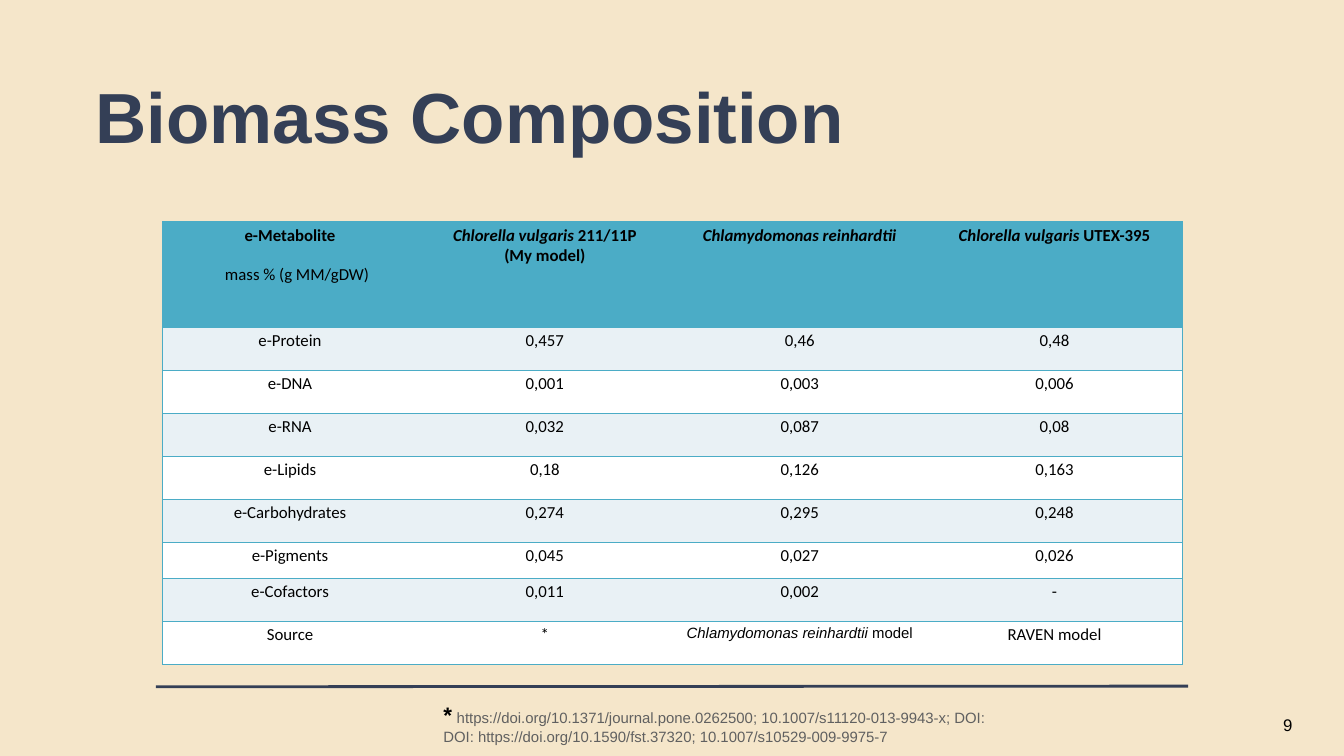
from dataclasses import dataclass

import pptx
import pptx.dml.color
import pptx.enum.shapes
import pptx.enum.text
import pptx.oxml
import pptx.oxml.ns
import pptx.util
from pptx.dml.color import RGBColor

SAND = RGBColor(0xF5, 0xE6, 0xCA)
NAVY = RGBColor(0x34, 0x3F, 0x56)
TEAL = RGBColor(0x4B, 0xAC, 0xC6)
PALE = RGBColor(0xE9, 0xF1, 0xF5)
WHITE = RGBColor(0xFF, 0xFF, 0xFF)
BLACK = RGBColor(0, 0, 0)
GREY = RGBColor(0x60, 0x60, 0x60)

ALIGN = pptx.enum.text.PP_ALIGN
ANCHOR = pptx.enum.text.MSO_ANCHOR
NO_STYLE = "{2D5ABB26-0587-4C30-8999-92F81FD0307C}"
UNIT = pptx.util.Inches(1)  # the slide is a grid of 20 columns by 11.25 rows


@dataclass(frozen=True)
class Box:
    col: float
    row: float
    cols: float
    rows: float

    def emu(self) -> list[int]:
        return [int(v * UNIT) for v in (self.col, self.row, self.cols, self.rows)]


@dataclass(frozen=True)
class Run:
    text: str
    italic: bool = False


@dataclass(frozen=True)
class Style:
    size: float = 18
    font: str = "Calibri"
    color: RGBColor = BLACK
    bold: bool = False
    align: ALIGN = ALIGN.CENTER


BODY = Style()
HEAD = Style(bold=True)
SMALL = Style(size=16, font="Arial")

HEADER = [
    [[Run("e-Metabolite")]],
    [[Run("Chlorella vulgaris", True), Run(" 211/11P")], [Run("(My model)")]],
    [[Run("Chlamydomonas reinhardtii", True)]],
    [[Run("Chlorella vulgaris", True), Run(" UTEX-395")]],
]
VALUES = [
    ("e-Protein", "0,457", "0,46", "0,48"),
    ("e-DNA", "0,001", "0,003", "0,006"),
    ("e-RNA", "0,032", "0,087", "0,08"),
    ("e-Lipids", "0,18", "0,126", "0,163"),
    ("e-Carbohydrates", "0,274", "0,295", "0,248"),
    ("e-Pigments", "0,045", "0,027", "0,026"),
    ("e-Cofactors", "0,011", "0,002", "-"),
]
SOURCES = [
    [[Run("Source")]],
    [[Run("*")]],
    [[Run("Chlamydomonas reinhardtii ", True), Run("model")]],
    [[Run("RAVEN model")]],
]
ROW_HEIGHTS = [1.57] + [0.64] * 5 + [0.54] + [0.64] * 2


def format_font(font, style: Style) -> None:
    font.size = pptx.util.Pt(style.size)
    font.name = style.font
    font.bold = style.bold
    font.color.rgb = style.color


def write(tf, paragraphs: list[list[Run]], style: Style) -> None:
    for i, runs in enumerate(paragraphs):
        p = tf.add_paragraph() if i else tf.paragraphs[0]
        p.alignment = style.align
        format_font(p.font, style)
        for run in runs:
            r = p.add_run()
            r.text = run.text
            if run.italic:
                r.font.italic = True


def add_text(s, box: Box, text: str, style: Style):
    tf = s.shapes.add_textbox(*box.emu()).text_frame
    tf.word_wrap = True
    write(tf, [[Run(text)]], style)
    return tf


def add_borders(cell, sides: str) -> None:
    tc_pr = cell._tc.get_or_add_tcPr()
    for side in sides:
        tc_pr.append(pptx.oxml.parse_xml(
            f'<a:ln{side} {pptx.oxml.ns.nsdecls("a")} w="12700"><a:solidFill>'
            f'<a:srgbClr val="{TEAL}"/></a:solidFill></a:ln{side}>'))


def fill_cell(cell, paragraphs: list[list[Run]], style: Style, fill: RGBColor, sides: str) -> None:
    add_borders(cell, sides)
    cell.fill.solid()
    cell.fill.fore_color.rgb = fill
    write(cell.text_frame, paragraphs, style)


def add_biomass_table(s, box: Box) -> None:
    rows = [HEADER] + [[[[Run(v)]] for v in row] for row in VALUES] + [SOURCES]
    table = s.shapes.add_table(len(rows), len(HEADER), *box.emu()).table
    table._tbl.tblPr.find(pptx.oxml.ns.qn("a:tableStyleId")).text = NO_STYLE
    for row, height in zip(table.rows, ROW_HEIGHTS):
        row.height = int(height * UNIT)
    last = len(HEADER) - 1
    for i, row in enumerate(rows):
        fill = TEAL if i == 0 else PALE if i % 2 else WHITE
        for j, paragraphs in enumerate(row):
            style = HEAD if i == 0 else SMALL if (row is SOURCES and j == 2) else BODY
            sides = ("L" if j == 0 else "") + ("R" if j == last else "") + "TB"
            fill_cell(table.cell(i, j), paragraphs, style, fill, sides)


def add_rule(s, start: tuple[float, float], end: tuple[float, float]) -> None:
    line = s.shapes.add_connector(pptx.enum.shapes.MSO_CONNECTOR.STRAIGHT,
                                  *[int(v * UNIT) for v in start + end])
    line.line.color.rgb = NAVY
    line.line.width = pptx.util.Pt(3)
    line._element.spPr.append(pptx.oxml.parse_xml(f'<a:effectLst {pptx.oxml.ns.nsdecls("a")}/>'))


def add_title(s, box: Box, text: str) -> None:
    sp = s.shapes.title
    sp.left, sp.top, sp.width, sp.height = box.emu()
    tf = sp.text_frame
    tf.margin_left = tf.margin_right = tf.margin_top = tf.margin_bottom = 0
    tf.vertical_anchor = ANCHOR.TOP
    tf.word_wrap = True
    write(tf, [[Run(text)]], Style(76, "Arial", NAVY, True, ALIGN.LEFT))
    tf.paragraphs[0].line_spacing = pptx.util.Pt(76)


def main() -> None:
    prs = pptx.Presentation()
    prs.slide_width, prs.slide_height = 20 * UNIT, int(11.25 * UNIT)
    s = prs.slides.add_slide(prs.slide_layouts[5])
    s.background.fill.solid()
    s.background.fill.fore_color.rgb = SAND

    # Title, rule and page number
    add_title(s, Box(1.42, 1.29, 11.83, 1.07), "Biomass Composition")
    add_rule(s, (2.32, 10.22), (17.68, 10.21))
    number = add_text(s, Box(17, 10.58, 2.33, 0.4), "9", Style(font="Arial", align=ALIGN.RIGHT))
    number.vertical_anchor = ANCHOR.MIDDLE

    # Composition table with its unit label
    add_biomass_table(s, Box(2.42, 3.3, 15.17, sum(ROW_HEIGHTS)))
    add_text(s, Box(3.25, 3.88, 10, 0.4), "mass % (g MM/gDW)", Style(align=ALIGN.LEFT))

    # Source footnote: large star, then the references
    note = add_text(s, Box(6.5, 10.38, 8.5, 0.77), "*", Style(24, "Arial", BLACK, True, ALIGN.LEFT))
    references = ("https://doi.org/10.1371/journal.pone.0262500; 10.1007/s11120-013-9943-x; DOI: "
                  "DOI: https://doi.org/10.1590/fst.37320; 10.1007/s10529-009-9975-7")
    for text, size in ((" ", 18), (references, 16)):
        r = note.paragraphs[0].add_run()
        r.text = text
        format_font(r.font, Style(size, "Arial", GREY))

    prs.save("out.pptx")


if __name__ == "__main__":
    main()
